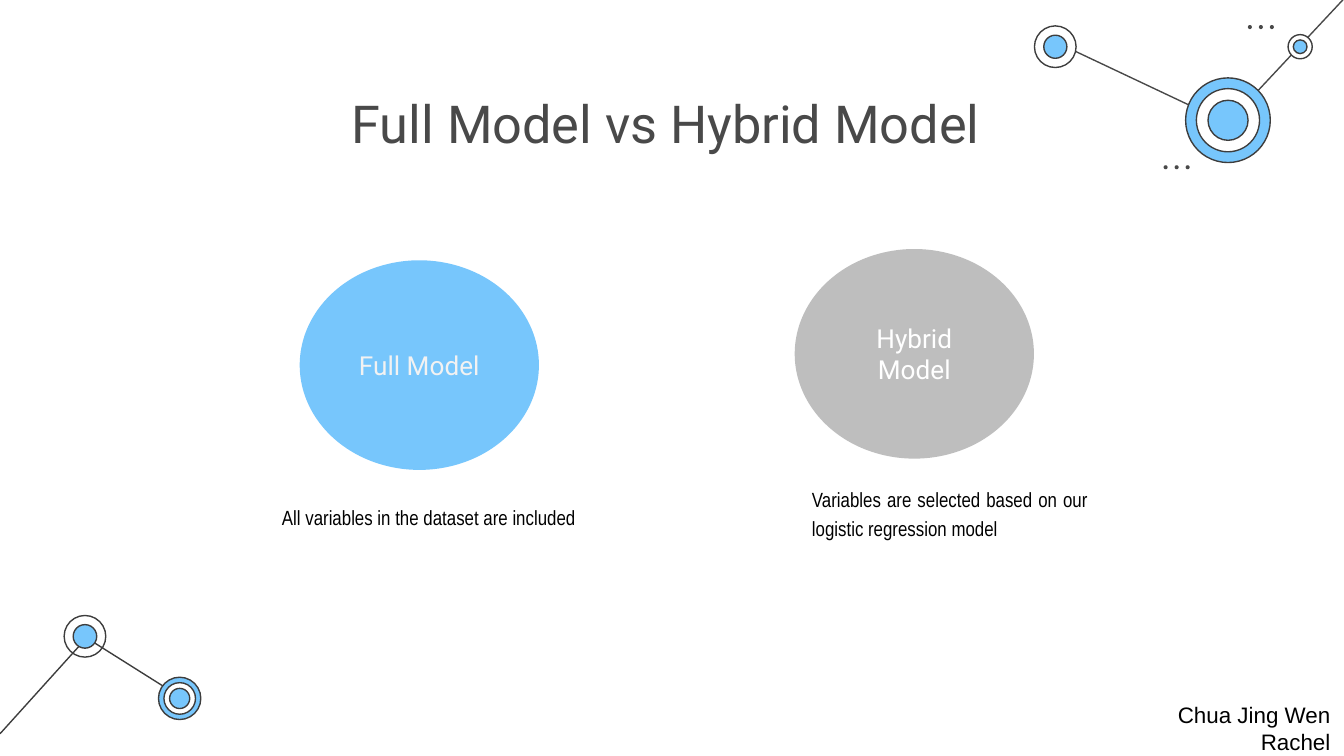
"""Build the slide that compares the full model with the hybrid model."""
from lxml.etree import SubElement
from pptx import Presentation
from pptx.dml.color import RGBColor
from pptx.enum.shapes import MSO_CONNECTOR, MSO_SHAPE
from pptx.enum.text import MSO_ANCHOR, MSO_AUTO_SIZE, PP_ALIGN
from pptx.oxml.ns import qn
from pptx.util import Inches, Pt

BLUE, GREY, WHITE, BLACK = "77C6FC", "BEBEBE", "FFFFFF", "000000"
DARK, SOFT = "3D3D3D", "494949"

deck = Presentation()
deck.slide_width, deck.slide_height = Inches(10), Inches(10 * 9 / 16)
page = deck.slides.add_slide(deck.slide_layouts[0])
column, row = deck.slide_width / 100, deck.slide_height / 56.25


def color(target, value):
    """Give a fill a solid colour, or none at all."""
    if value is None:
        target.background()
    else:
        target.solid()
        target.fore_color.rgb = RGBColor.from_string(value)


def add_disc(center_x, center_y, width, height, fill, outline=None):
    """Add an ellipse around a centre given in columns and rows."""
    disc = page.shapes.add_shape(
        MSO_SHAPE.OVAL,
        round((center_x - width / 2) * column), round((center_y - height / 2) * row),
        round(width * column), round(height * row))
    disc.shadow.inherit = False
    color(disc.fill, fill)
    color(disc.line.fill, outline)
    if outline:
        disc.line.width = Pt(0.75)
    return disc


links = [
    (6.5, 47.5, 13.8, 52.1, DARK),
    (0, 54.6, 6.5, 47.4, DARK),
    (91.4, 9.2, 78.7, 3.2, SOFT),
    (100, -0.1, 91.4, 9.1, SOFT),
]
for start_x, start_y, end_x, end_y, shade in links:
    link = page.shapes.add_connector(
        MSO_CONNECTOR.STRAIGHT,
        round(start_x * column), round(start_y * row),
        round(end_x * column), round(end_y * row))
    color(link.line.fill, shade)
    link.line.width = Pt(0.75)
    SubElement(link._element.spPr, qn("a:effectLst"))

nodes = [
    (6.32, 47.35, [(3.1, None), (1.75, BLUE)]),
    (13.37, 51.97, [(3.15, BLUE), (2.35, WHITE), (1.5, BLUE)]),
    (91.37, 8.95, [(6.3, BLUE), (4.7, WHITE), (2.98, BLUE)]),
    (78.52, 3.48, [(3.1, WHITE), (1.72, BLUE)]),
    (96.74, 3.48, [(1.8, WHITE), (1.02, BLUE)]),
]
for center_x, center_y, rings in nodes:
    for diameter, fill in rings:
        add_disc(center_x, center_y, diameter, diameter, fill, DARK)

for first_x, dots_y in [(93, 2.02), (86.73, 12.45)]:
    for step in range(3):
        add_disc(first_x + 0.82 * step, dots_y, 0.3, 0.3, SOFT)

title, subtitle = page.placeholders
full_model = add_disc(31.2, 27.17, 17.8, 15.6, BLUE)
hybrid_model = add_disc(68.03, 26.33, 17.8, 15.6, GREY)
full_note, hybrid_note = [page.shapes.add_textbox(0, 0, 0, 0) for _ in range(2)]

for box, (left, top, width, height) in [
    (title, (7.9, 5.8, 84.2, 6.3)),
    (subtitle, (86.2, 51.2, 13.8, 4.2)),
    (full_note, (20, 36.3, 25.7, 3.9)),
    (hybrid_note, (59.43, 35, 22.5, 6)),
]:
    box.left, box.top = round(left * column), round(top * row)
    box.width, box.height = round(width * column), round(height * row)

texts = [
    (title, "Full Model vs Hybrid Model ", "Roboto", 28, SOFT, PP_ALIGN.CENTER),
    (subtitle, "Chua Jing Wen Rachel", "Arial", 12, BLACK, PP_ALIGN.RIGHT),
    (full_model, "Full Model", "Roboto", 14, "F2F2F2", PP_ALIGN.CENTER),
    (hybrid_model, "Hybrid Model", "Roboto", 14, WHITE, PP_ALIGN.CENTER),
    (full_note, "All variables in the dataset are included",
     "Arial Narrow", 11, BLACK, PP_ALIGN.JUSTIFY),
    (hybrid_note, "Variables are selected based on our logistic regression model",
     "Arial Narrow", 11, BLACK, PP_ALIGN.JUSTIFY),
]
for box, words, font, size, shade, alignment in texts:
    frame = box.text_frame
    frame.word_wrap = True
    frame.auto_size = MSO_AUTO_SIZE.NONE
    frame.margin_left = frame.margin_right = Inches(0.1)
    frame.margin_top = frame.margin_bottom = Inches(0.1)
    in_disc = box in (full_model, hybrid_model)
    frame.vertical_anchor = MSO_ANCHOR.MIDDLE if in_disc else MSO_ANCHOR.TOP
    para = frame.paragraphs[0]
    para.alignment = alignment
    para.space_before = Pt(0)
    para.line_spacing = 1.0
    if alignment == PP_ALIGN.JUSTIFY:
        frame.auto_size = MSO_AUTO_SIZE.SHAPE_TO_FIT_TEXT
        para.line_spacing = 1.15
        para.space_after = Pt(15)
    span = para.add_run()
    span.text = words
    span.font.name = font
    span.font.size = Pt(size)
    color(span.font.fill, shade)

deck.save("out.pptx")
